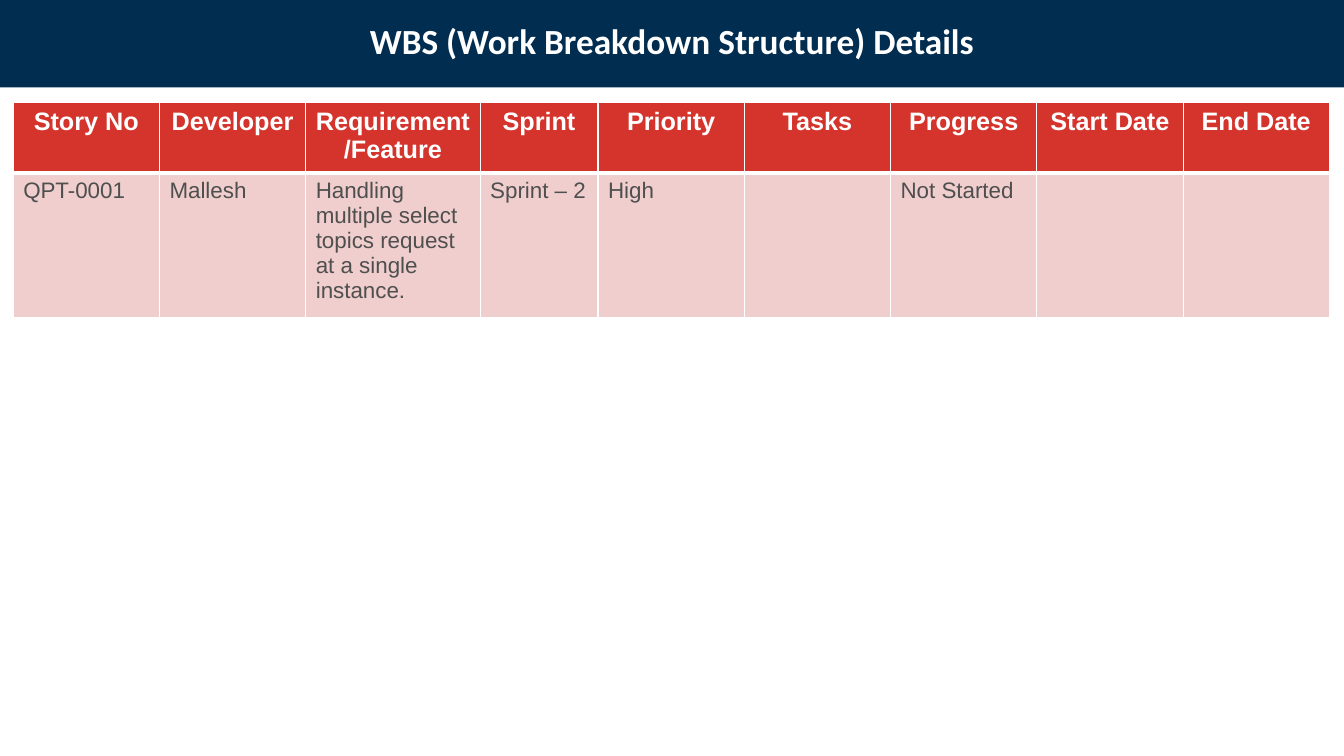
from lxml.etree import SubElement
from pptx import Presentation
from pptx.dml.color import RGBColor
from pptx.enum.shapes import MSO_SHAPE as Shape
from pptx.enum.text import MSO_ANCHOR as Anchor, PP_ALIGN as Align
from pptx.oxml.ns import qn
from pptx.util import Pt

COLORS = {"navy": "002D50", "red": "D4342C", "pink": "EFCECD",
          "white": "FFFFFF", "grey": "4F4F4F"}
HEADINGS = ["Story No", "Developer", "Requirement/Feature", "Sprint", "Priority",
            "Tasks", "Progress", "Start Date", "End Date"]
STORY = ["QPT-0001", "Mallesh",
         "Handling multiple select topics request at a single instance.",
         "Sprint – 2", "High", "", "Not Started", "", ""]
COLUMN_WIDTHS = [104.5, 104.5, 124.6, 84.2] + [104.5] * 5
ROW_HEIGHTS = [47, 96]


class SlideBuilder:
    """Draws styled elements on one slide, measured in points."""

    def __init__(self, slide):
        self.slide = slide
        self.title_font = "Calibri"
        self.table_font = "Arial"

    def color(self, name):
        return RGBColor.from_string(COLORS[name])

    def add_text(self, frame, text, font, size, color, bold, align):
        paragraph = frame.paragraphs[0]
        paragraph.alignment = align
        run = paragraph.add_run()
        run.text = text
        run.font.name = font
        run.font.size = Pt(size)
        run.font.bold = bold
        run.font.color.rgb = self.color(color)

    def band(self, left, top, width, height, fill):
        band = self.slide.shapes.add_shape(
            Shape.RECTANGLE, Pt(left), Pt(top), Pt(width), Pt(height))
        band.shadow.inherit = False
        band.fill.solid()
        band.fill.fore_color.rgb = self.color(fill)
        band.line.fill.background()

    def title(self, left, top, width, height, text):
        box = self.slide.shapes.add_textbox(Pt(left), Pt(top), Pt(width), Pt(height))
        frame = box.text_frame
        frame.word_wrap = True
        frame.vertical_anchor = Anchor.MIDDLE
        self.add_text(frame, text, self.title_font, 25.2, "white", True, Align.CENTER)

    def borders(self, cell, widths):
        properties = cell._tc.get_or_add_tcPr()
        for index, (side, width) in enumerate(widths.items()):
            line = properties.makeelement(qn(f"a:ln{side}"), {"w": str(Pt(width))})
            fill = SubElement(line, qn("a:solidFill"))
            SubElement(fill, qn("a:srgbClr"), val=COLORS["white"])
            properties.insert(index, line)

    def table(self, left, top, widths, heights, rows):
        table = self.slide.shapes.add_table(
            len(rows), len(widths), Pt(left), Pt(top),
            Pt(sum(widths)), Pt(sum(heights))).table
        for column, width in zip(table.columns, widths):
            column.width = Pt(width)
        for row, height in zip(table.rows, heights):
            row.height = Pt(height)
        header_style = ("red", 18, "white", True, Align.CENTER)
        story_style = ("pink", 16, "grey", False, Align.LEFT)
        for r, row in enumerate(rows):
            fill, size, color, bold, align = story_style if r else header_style
            for c, text in enumerate(row):
                cell = table.cell(r, c)
                cell.fill.solid()
                cell.fill.fore_color.rgb = self.color(fill)
                self.borders(cell, {"L": 1, "R": 1, "T": 1 if r == 0 else 3,
                                    "B": 3 if r == 0 else 1})
                if text:
                    self.add_text(cell.text_frame, text, self.table_font,
                                  size, color, bold, align)


def main():
    deck = Presentation()
    deck.slide_width, deck.slide_height = Pt(960), Pt(540)
    wbs = SlideBuilder(deck.slides.add_slide(deck.slide_layouts[6]))
    wbs.band(0, 0, 960, 62.5, "navy")
    wbs.title(0, 8.6, 960, 41, "WBS (Work Breakdown Structure) Details")
    wbs.table(9.4, 73.4, COLUMN_WIDTHS, ROW_HEIGHTS, [HEADINGS, STORY])
    deck.save("out.pptx")


if __name__ == "__main__":
    main()
